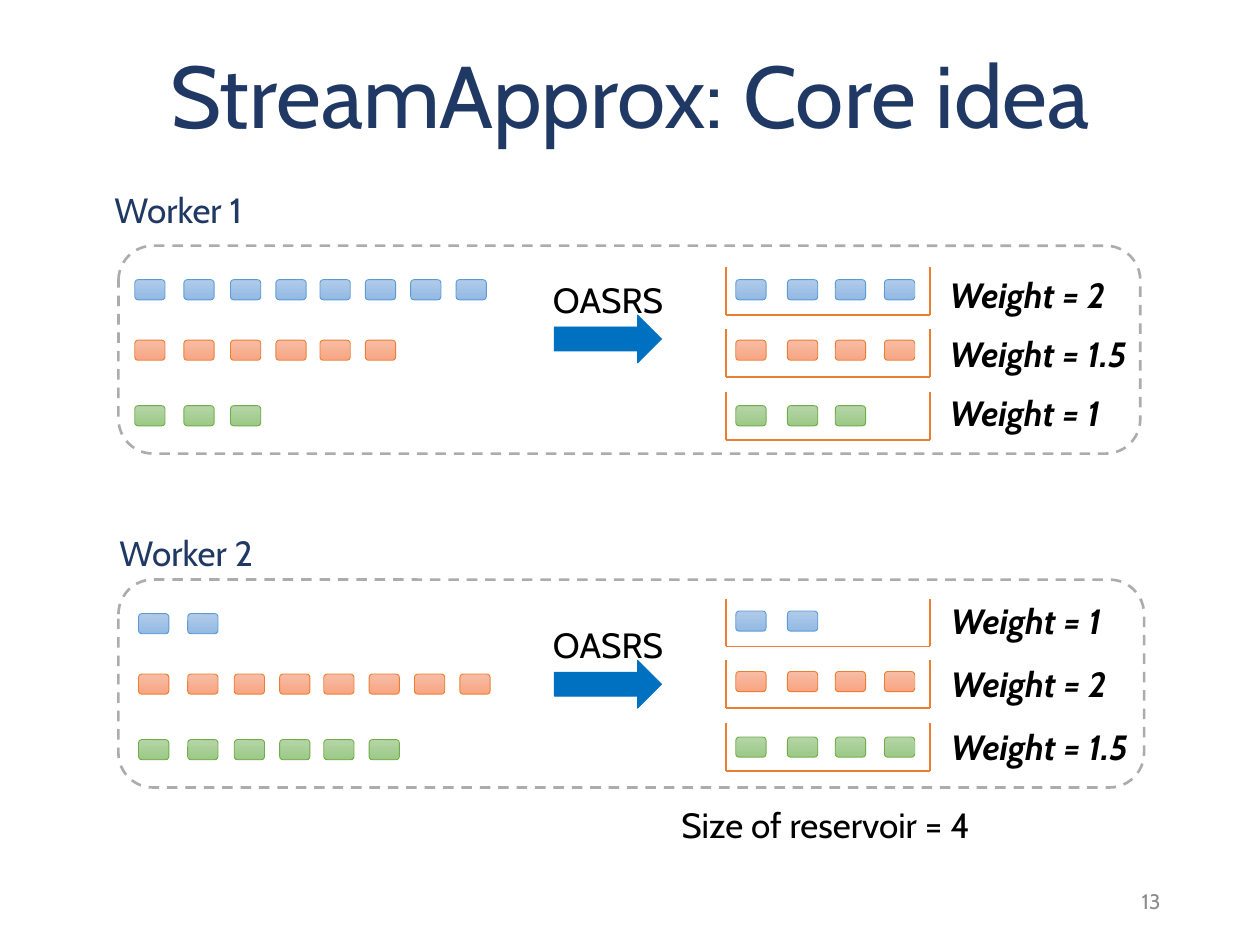
from dataclasses import dataclass

from lxml import etree
from pptx import Presentation
from pptx.dml.color import RGBColor
from pptx.enum.dml import MSO_LINE_DASH_STYLE as Dash
from pptx.enum.shapes import MSO_CONNECTOR as Connector
from pptx.enum.shapes import MSO_SHAPE as Shape
from pptx.enum.text import MSO_ANCHOR as Anchor
from pptx.enum.text import MSO_AUTO_SIZE as AutoSize
from pptx.enum.text import PP_ALIGN as Align
from pptx.oxml.ns import qn
from pptx.util import Inches, Pt

FONT = "Cabin"
NAVY = RGBColor(0x20, 0x38, 0x64)
BLACK = RGBColor(0x00, 0x00, 0x00)
GRAY = RGBColor(0x8C, 0x8C, 0x8C)
FRAME_GRAY = RGBColor(0xAF, 0xAB, 0xAB)
ARROW_BLUE = RGBColor(0x00, 0x70, 0xC0)
ORANGE_LINE = RGBColor(0xED, 0x7D, 0x31)

# Item palettes: gradient top, gradient bottom, outline
BLUE = (RGBColor(0xB1, 0xCB, 0xE9), RGBColor(0x93, 0xB9, 0xE4), RGBColor(0x5B, 0x9B, 0xD5))
ORANGE = (RGBColor(0xF7, 0xBD, 0xA5), RGBColor(0xF8, 0xA5, 0x82), ORANGE_LINE)
GREEN = (RGBColor(0xB5, 0xD5, 0xA7), RGBColor(0x9C, 0xC9, 0x87), RGBColor(0x70, 0xAD, 0x47))

# Horizontal steps of the items, vertical steps of the three rows
STREAM_STEPS = (0, 0.39, 0.76, 1.12, 1.47, 1.83, 2.19, 2.55)
SAMPLE_STEPS = (0, 0.41, 0.79, 1.18)
ITEM_STEPS = (0.1, 0.58, 1.1)
RESERVOIR_STEPS = (0, 0.49, 0.99)
RESERVOIR_LEFT, RESERVOIR_RIGHT, RESERVOIR_HEIGHT = 5.76, 7.38, 0.38


@dataclass
class Worker:
    name: str
    label_at: tuple
    frame_top: float
    frame_width: float
    stream_left: float
    stream_drop: float
    reservoir_top: float
    arrow_top: float
    weight_at: tuple
    weight_step: float
    rows: tuple  # palette, stream count, sample count, weight


WORKERS = (
    Worker("Worker 1", (0.81, 1.45), 1.95, 8.11, 1.07, 0, 2.12, 2.5, (7.44, 2.12), 0.47,
           ((BLUE, 8, 4, "2"), (ORANGE, 6, 4, "1.5"), (GREEN, 3, 3, "1"))),
    Worker("Worker 2", (0.85, 4.17), 4.6, 8.14, 1.1, 0.02, 4.75, 5.24, (7.45, 4.71), 0.5,
           ((BLUE, 2, 2, "1"), (ORANGE, 8, 4, "2"), (GREEN, 6, 4, "1.5"))),
)


class SlideBuilder:
    def __init__(self, slide):
        self.slide = slide
        self.shapes = slide.shapes

    def start_group(self):
        self.shapes = self.slide.shapes.add_group_shape().shapes

    def text(self, words, left, top, width, height=0.44, size=20, color=BLACK,
             strong=False, align=Align.LEFT, anchor=Anchor.TOP, spacing=1.0, wrap=True):
        box = self.shapes.add_textbox(Inches(left), Inches(top), Inches(width), Inches(height))
        frame = box.text_frame
        frame.word_wrap = wrap
        frame.vertical_anchor = anchor
        frame.auto_size = AutoSize.SHAPE_TO_FIT_TEXT if anchor == Anchor.TOP else AutoSize.NONE
        paragraph = frame.paragraphs[0]
        paragraph.alignment = align
        paragraph.line_spacing = spacing
        run = paragraph.add_run()
        run.text = words
        run.font.name = FONT
        run.font.size = Pt(size)
        run.font.color.rgb = color
        run.font.bold = run.font.italic = strong

    def shape(self, kind, left, top, width, height, line_color, line_width=0.5):
        shape = self.shapes.add_shape(
            kind, Inches(left), Inches(top), Inches(width), Inches(height))
        shape.shadow.inherit = False
        shape.line.color.rgb = line_color
        shape.line.width = Pt(line_width)
        return shape

    def items(self, palette, count, left, steps, top):
        upper, lower, outline = palette
        for step in steps[:count]:
            item = self.shape(Shape.ROUNDED_RECTANGLE, left + step, top, 0.24, 0.16, outline)
            item.fill.gradient()
            item.fill.gradient_angle = 270
            for stop, color in zip(item.fill.gradient_stops, (upper, lower)):
                stop.color.rgb = color

    def line(self, start, end):
        line = self.shapes.add_connector(
            Connector.STRAIGHT, *(Inches(value) for value in (*start, *end)))
        line.line.color.rgb = ORANGE_LINE
        line.line.width = Pt(1)
        properties = line._element.find(qn("p:spPr"))
        etree.SubElement(properties, qn("a:effectLst"))

    def reservoir(self, top):
        bottom = top + RESERVOIR_HEIGHT
        corners = ((RESERVOIR_LEFT, top), (RESERVOIR_LEFT, bottom),
                   (RESERVOIR_RIGHT, bottom), (RESERVOIR_RIGHT, top))
        for start, end in zip(corners, corners[1:]):
            self.line(start, end)

    def arrow(self, top):
        arrow = self.shape(Shape.RIGHT_ARROW, 4.4, top, 0.85, 0.38, ARROW_BLUE)
        arrow.fill.solid()
        arrow.fill.fore_color.rgb = ARROW_BLUE
        self.text("OASRS", 4.29, top - 0.34, 1.19)

    def frame(self, top, width):
        frame = self.shape(Shape.ROUNDED_RECTANGLE, 0.94, top, width, 1.65, FRAME_GRAY, 1.5)
        frame.fill.background()
        frame.line.dash_style = Dash.DASH

    def worker(self, worker):
        self.start_group()
        weight_left, weight_top = worker.weight_at
        for index, (palette, streamed, sampled, weight) in enumerate(worker.rows):
            item_top = worker.reservoir_top + ITEM_STEPS[index]
            self.items(palette, streamed, worker.stream_left, STREAM_STEPS,
                       item_top + worker.stream_drop)
            self.items(palette, sampled, 5.84, SAMPLE_STEPS, item_top)
            self.reservoir(worker.reservoir_top + RESERVOIR_STEPS[index])
            self.text(f"Weight = {weight}", weight_left,
                      weight_top + index * worker.weight_step, 1.61, strong=True)
        self.arrow(worker.arrow_top)
        self.frame(worker.frame_top, worker.frame_width)
        self.text(worker.name, *worker.label_at, 1.37, color=NAVY)


def main():
    presentation = Presentation()
    presentation.slide_width = Inches(10)
    presentation.slide_height = Inches(7.5)
    builder = SlideBuilder(presentation.slides.add_slide(presentation.slide_layouts[6]))

    # Title and slide number
    builder.text("StreamApprox: Core idea", 0.69, 0.3, 8.62, 0.99, size=50, color=NAVY,
                 align=Align.CENTER, anchor=Anchor.MIDDLE, spacing=0.9)
    builder.text("13", 7.06, 6.95, 2.25, 0.4, size=12, color=GRAY,
                 align=Align.RIGHT, anchor=Anchor.MIDDLE)

    # Sampling at each worker
    for worker in WORKERS:
        builder.worker(worker)

    # Reservoir note, kept with the last worker
    builder.text("Size of reservoir = 4", 5.31, 6.33, 2.52, wrap=False)

    presentation.save("out.pptx")


if __name__ == "__main__":
    main()
